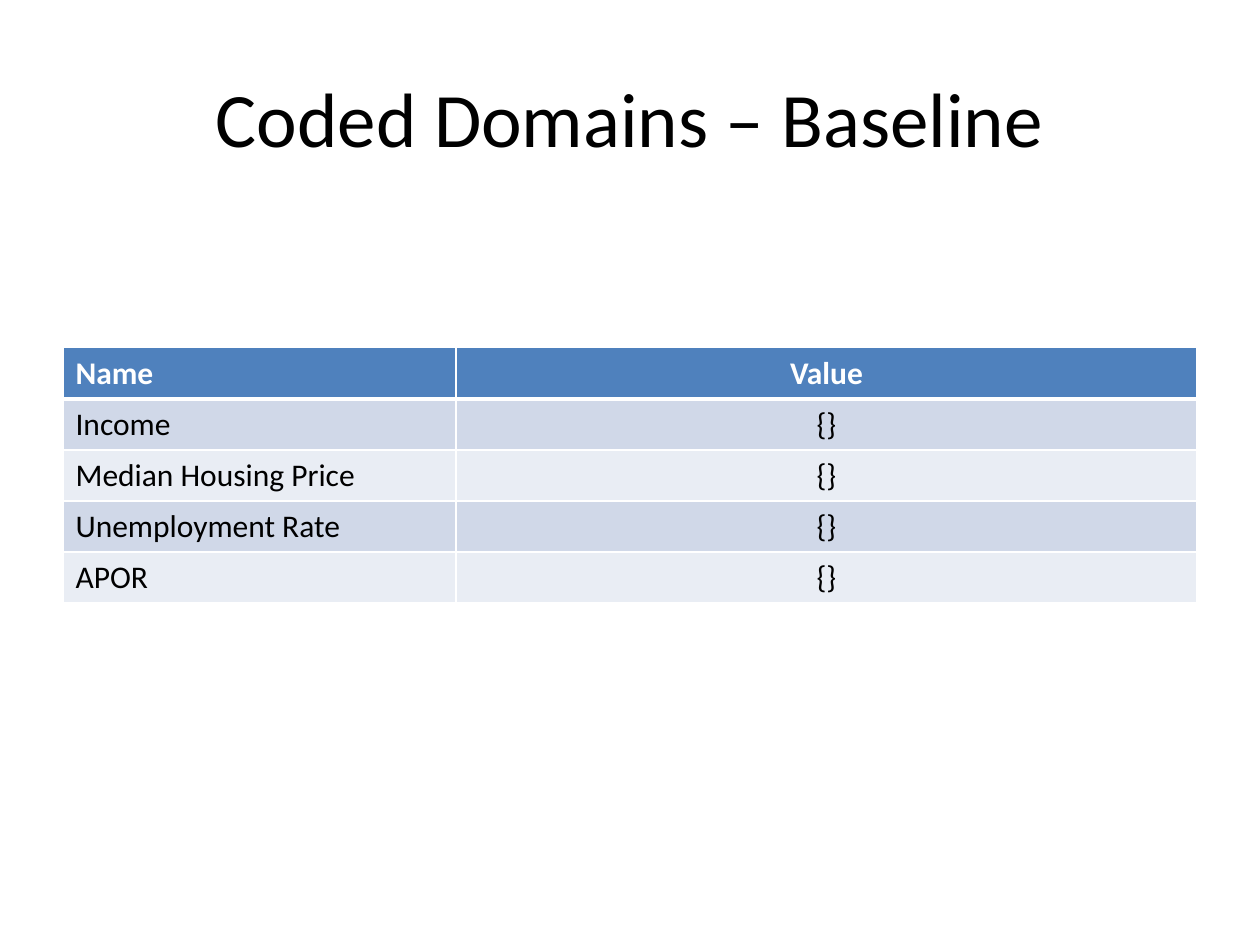
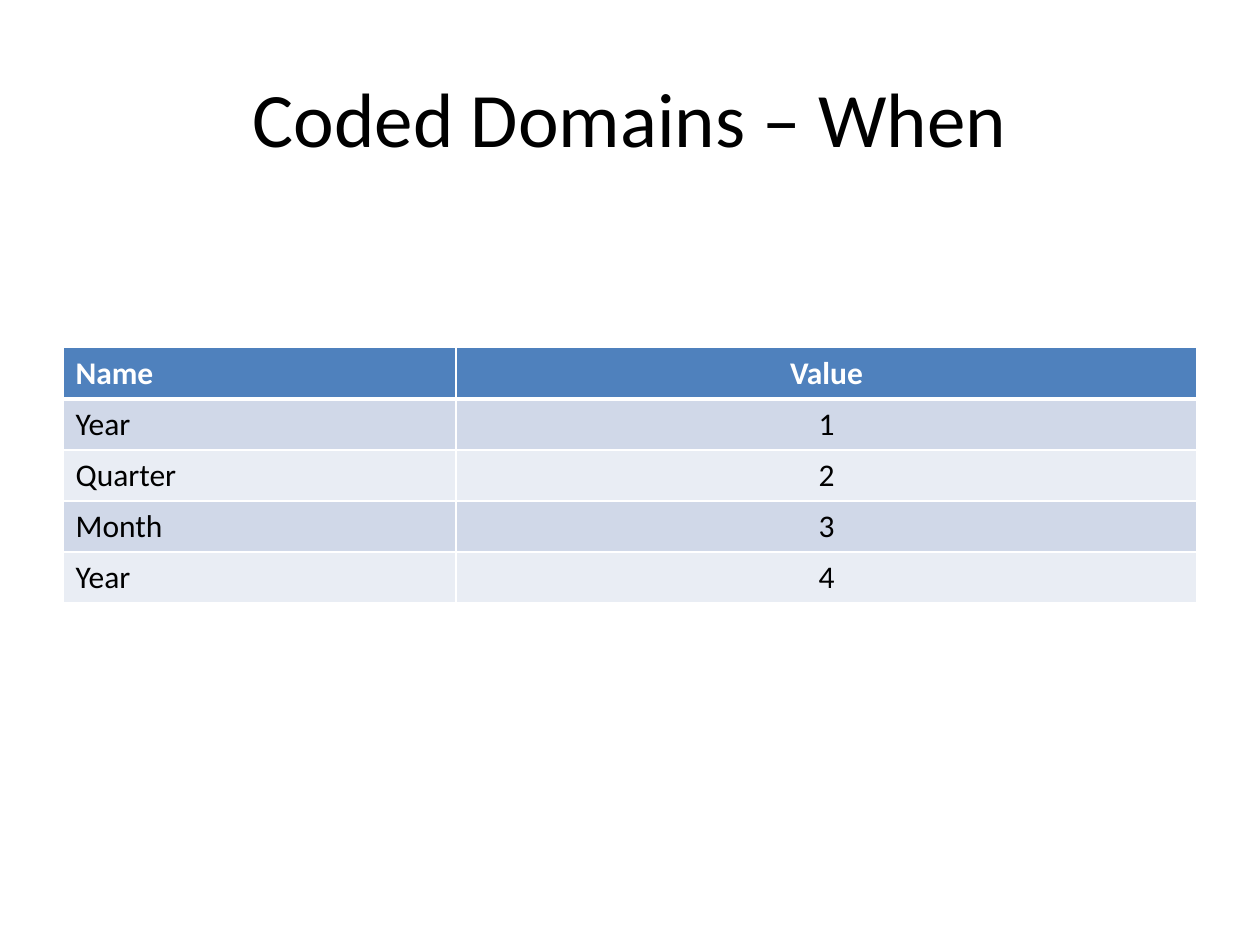
"""Builds two slides that list coded domains as name and value tables."""
import dataclasses

import lxml.etree
import pptx
import pptx.dml.color
import pptx.enum.text
import pptx.oxml.ns
import pptx.util

ALIGN = pptx.enum.text.PP_ALIGN
MIDDLE = pptx.enum.text.MSO_ANCHOR.MIDDLE


@dataclasses.dataclass(frozen=True)
class Theme:
    """Colours, type and line sizes shared by the slides."""
    font: str = "Calibri"
    title_size: int = 44
    table_size: int = 18
    background: str = "FFFFFF"
    text: str = "000000"
    header_text: str = "FFFFFF"
    header_fill: str = "4F81BD"
    bands: tuple = ("D0D8E8", "E9EDF4")
    border: str = "FFFFFF"
    border_width: float = 1
    header_rule_width: float = 3


THEME = Theme()
SLIDE_WIDTH = pptx.util.Inches(10)
SLIDE_HEIGHT = pptx.util.Inches(7.5)
MARGIN = 0.05
CONTENT_WIDTH = 1 - 2 * MARGIN
TITLE_TOP = 0.04
TITLE_HEIGHT = 1 / 6
TABLE_TOP = 0.368
ROW_HEIGHT = 0.054
COLUMN_SHARES = (0.312, 0.588)
COLUMN_ALIGNMENTS = (ALIGN.LEFT, ALIGN.CENTER)
HEADER = ("Name", "Value")
DOMAINS = {
    "Coded Domains – Baseline": (
        ("Income", "{}"),
        ("Median Housing Price", "{}"),
        ("Unemployment Rate", "{}"),
        ("APOR", "{}"),
    ),
    "Coded Domains – When": (
        ("Year", "1"),
        ("Quarter", "2"),
        ("Month", "3"),
        ("Year", "4"),
    ),
}


def across(share):
    """Return a share of the slide's width."""
    return round(SLIDE_WIDTH * share)


def down(share):
    """Return a share of the slide's height."""
    return round(SLIDE_HEIGHT * share)


def rgb(colour):
    """Return the colour object for a hexadecimal string."""
    return pptx.dml.color.RGBColor.from_string(colour)


def write_text(text_frame, text, *, size, colour=THEME.text, bold=False,
               alignment=ALIGN.LEFT):
    """Write one formatted paragraph into a text frame."""
    paragraph = text_frame.paragraphs[0]
    paragraph.alignment = alignment
    run = paragraph.add_run()
    run.text = text
    run.font.name = THEME.font
    run.font.size = pptx.util.Pt(size)
    run.font.bold = bold
    run.font.color.rgb = rgb(colour)


def set_borders(cell, top, bottom):
    """Draw the cell's four borders with the given top and bottom widths."""
    properties = cell._tc.get_or_add_tcPr()
    widths = {"L": THEME.border_width, "R": THEME.border_width,
              "T": top, "B": bottom}
    for position, (side, width) in enumerate(widths.items()):
        line = lxml.etree.Element(pptx.oxml.ns.qn(f"a:ln{side}"),
                                  w=str(pptx.util.Pt(width)))
        fill = lxml.etree.SubElement(line, pptx.oxml.ns.qn("a:solidFill"))
        lxml.etree.SubElement(fill, pptx.oxml.ns.qn("a:srgbClr"),
                              val=THEME.border)
        properties.insert(position, line)


def format_cell(cell, text, row, alignment):
    """Fill, outline and write a cell according to its row."""
    is_header = row == 0
    fill = THEME.header_fill if is_header else THEME.bands[(row - 1) % 2]
    cell.fill.solid()
    cell.fill.fore_color.rgb = rgb(fill)
    set_borders(
        cell,
        top=THEME.header_rule_width if row == 1 else THEME.border_width,
        bottom=THEME.header_rule_width if is_header else THEME.border_width)
    write_text(cell.text_frame, text, size=THEME.table_size, bold=is_header,
               colour=THEME.header_text if is_header else THEME.text,
               alignment=alignment)


def add_domain_table(slide, entries):
    """Add a table with a header row above the domain entries."""
    rows = (HEADER, *entries)
    table = slide.shapes.add_table(
        len(rows), len(HEADER), across(MARGIN), down(TABLE_TOP),
        across(CONTENT_WIDTH), down(ROW_HEIGHT * len(rows))).table
    for column, share in zip(table.columns, COLUMN_SHARES):
        column.width = across(share)
    for row_index, values in enumerate(rows):
        table.rows[row_index].height = down(ROW_HEIGHT)
        for column_index, value in enumerate(values):
            format_cell(table.cell(row_index, column_index), value, row_index,
                        COLUMN_ALIGNMENTS[column_index])


def add_titled_slide(presentation, text):
    """Add a title-only slide and place its centred title."""
    slide = presentation.slides.add_slide(presentation.slide_layouts[5])
    slide.background.fill.solid()
    slide.background.fill.fore_color.rgb = rgb(THEME.background)
    title = slide.shapes.title
    title.left, title.top = across(MARGIN), down(TITLE_TOP)
    title.width, title.height = across(CONTENT_WIDTH), down(TITLE_HEIGHT)
    title.text_frame.vertical_anchor = MIDDLE
    write_text(title.text_frame, text, size=THEME.title_size,
               alignment=ALIGN.CENTER)
    return slide


def main():
    """Build and save the presentation."""
    presentation = pptx.Presentation()
    presentation.slide_width = SLIDE_WIDTH
    presentation.slide_height = SLIDE_HEIGHT
    for title, entries in DOMAINS.items():
        add_domain_table(add_titled_slide(presentation, title), entries)
    presentation.save("out.pptx")


if __name__ == "__main__":
    main()
